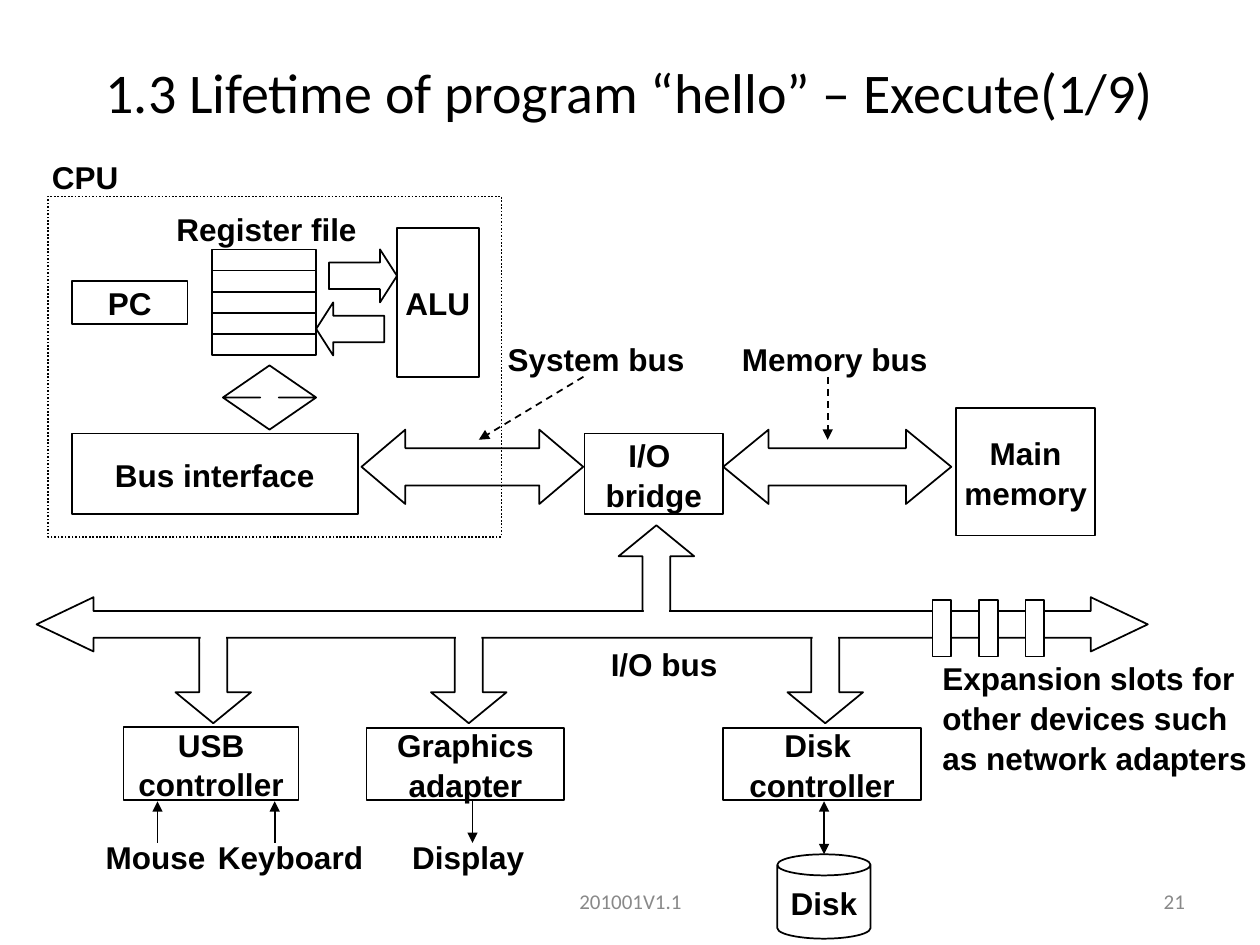
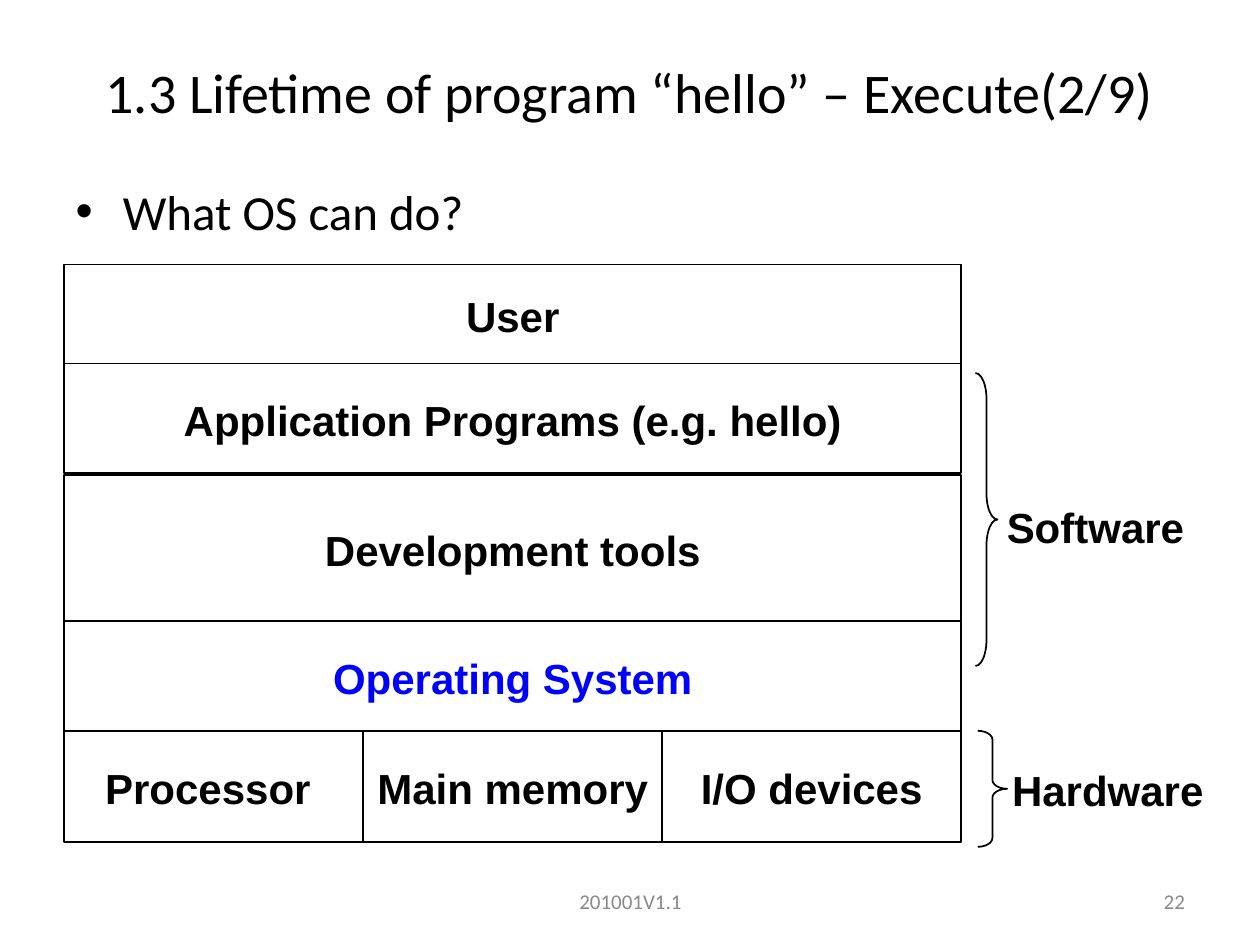
from itertools import accumulate

from lxml import etree
from pptx import Presentation
from pptx.dml.color import RGBColor
from pptx.enum import dml, shapes, text
from pptx.oxml import ns
from pptx.util import Pt

BLACK = RGBColor(0x00, 0x00, 0x00)
WHITE = RGBColor(0xFF, 0xFF, 0xFF)
BLUE = RGBColor(0x00, 0x00, 0xFF)
GREY = RGBColor(0x89, 0x89, 0x89)

KIND = shapes.MSO_SHAPE
ALIGN = text.PP_ALIGN
MIDDLE = text.MSO_ANCHOR.MIDDLE
DASH = dml.MSO_LINE.DASH
DOTS = dml.MSO_LINE.ROUND_DOT

TITLE = "1.3 Lifetime of program “hello” – Execute({}/9)"
FOOTER = "201001V1.1"
FIRST_NUMBER = 21

TITLE_FONT = dict(name="Calibri", size=Pt(32))
BODY_FONT = dict(name="Calibri", size=Pt(28))
FOOTER_FONT = dict(name="Calibri", size=Pt(12))
DIAGRAM_FONT = dict(name="Arial", size=Pt(18), bold=True)
STACK_FONT = dict(name="Arial", size=Pt(24), bold=True)
DIAGRAM_PARA = dict(alignment=ALIGN.CENTER, line_spacing=1.05)

# Hardware diagram: all places are (left, top, width, height) in points
UNITS = [
    ("Main\nmemory", (546.5, 233.3, 79.2, 72.7)),
    ("I/O \nbridge", (334, 247.7, 79.2, 46)),
    ("Bus interface", (41, 247.7, 163.5, 46)),
    ("ALU", (226.8, 130.3, 46.8, 85)),
    ("PC", (41, 160.6, 66.2, 24.5)),
    ("USB\ncontroller", (70.6, 415.4, 100, 41.8)),
    ("Graphics\nadapter", (209.5, 416.2, 113, 41)),
    ("Disk \ncontroller", (413.3, 416.2, 113, 41)),
]
CPU_FRAME = (27.4, 112.3, 259.2, 194.4)
REGISTERS, REGISTER_BOX = 5, (121, 142.5, 59.8, 12.1)
BLOCK_ARROWS = [
    (KIND.LEFT_RIGHT_ARROW, (413.3, 245.5, 130.3, 42.5), (0.5, 0.61)),
    (KIND.LEFT_RIGHT_ARROW, (206.6, 245.5, 126.7, 42.5), (0.5, 0.59)),
    (KIND.RIGHT_ARROW, (188, 142.5, 38.9, 30.3), (0.5, 0.32)),
    (KIND.LEFT_ARROW, (180.7, 172.8, 38.9, 30.3), (0.5, 0.32)),
    (KIND.UP_DOWN_ARROW, (127.4, 208.8, 53.3, 36.7), (0.5, 0.2)),
]
IO_BUS = (20.9, 341.3, 635, 31)
# Branches of the I/O bus: kind, centre, top, top of the patch that opens the bus
BRANCHES = [
    (KIND.UP_ARROW, 375.1, 300.2, 348.5),
    (KIND.DOWN_ARROW, 121.9, 358.6, 355),
    (KIND.DOWN_ARROW, 267.9, 358.6, 354.2),
    (KIND.DOWN_ARROW, 471.6, 358.6, 353.5),
]
BRANCH_SIZE, BRANCH_ADJ, PATCH_SIZE = (43.2, 54.7), (0.37, 0.41), (14.4, 12.2)
SLOTS, SLOT_BOX, SLOT_STEP = 3, (532.8, 342.7, 10.8, 32.4), 26.6
DISK = (444.2, 488.2, 53.3, 48.2)
LABEL_WIDTH, LABEL_HEIGHT = 120, 28.8
LABELS = [  # text, centre, top
    ("Register file", 152.3, 116),
    ("CPU", 48.6, 86.4),
    ("System bus", 340.6, 190),
    ("Memory bus", 477, 190),
    ("I/O bus", 379.5, 364.3),
    ("Mouse", 88.9, 474.5),
    ("Keyboard", 166, 474.5),
    ("Display", 267.5, 474.5),
]
SLOT_NOTE = "Expansion slots for\nother devices such\nas network adapters"
SLOT_NOTE_BOX = (531.4, 373.7, 188.6, 72)
POINTERS = [  # start, end, dash, arrowheads
    ((333.4, 215.3), (273.6, 251.3), DASH, ["tailEnd"]),
    ((473, 215.3), (473, 251.3), DASH, ["tailEnd"]),
    ((90, 457.9), (90, 481.7), None, ["headEnd"]),
    ((157, 457.9), (157, 481.7), None, ["headEnd"]),
    ((270, 457.9), (270, 481.7), None, ["tailEnd"]),
    ((470.9, 457.9), (470.9, 488.2), None, ["headEnd", "tailEnd"]),
]

# Layer stack: label, height, gap above, colour
QUESTION = "What OS can do?"
STACK_LEFT, STACK_TOP, STACK_WIDTH = 36.7, 151.2, 512.6
LAYERS = [
    (["User"], 56.5, 0, BLACK),
    (["Application Programs (e.g. hello)"], 62.5, 0, BLACK),
    (["Development tools"], 83.5, 1.4, BLACK),
    (["Operating System"], 62.5, 0, BLUE),
    (["Processor ", "Main memory", "I/O devices"], 63.4, 0, BLACK),
]
BRACES = [  # label, brace, corner, label box
    ("Software", (557.4, 213.2, 12.6, 167.4), 1.18, (568, 282.2, 116, 36)),
    ("Hardware", (558.7, 417.6, 16.8, 66.3), 0.3, (571, 432.7, 124, 36)),
]


def apply(obj, values):
    for name, value in values.items():
        setattr(obj, name, value)


def points(values):
    return [Pt(v) for v in values]


def write(sp, content, font, color=BLACK, para=DIAGRAM_PARA, **frame):
    tf = sp.text_frame
    apply(tf, dict(word_wrap=False, vertical_anchor=MIDDLE,
                   auto_size=text.MSO_AUTO_SIZE.NONE) | frame)
    tf.text = content
    for p in tf.paragraphs:
        apply(p, para)
        for r in p.runs:
            apply(r.font, font)
            r.font.color.rgb = color


def add_shape(s, kind, box, adj=(), fill=None, line=BLACK, dash=None):
    sp = s.shapes.add_shape(kind, *points(box))
    sp.shadow.inherit = False
    for i, value in enumerate(adj):
        sp.adjustments[i] = value
    if fill is None:
        sp.fill.background()
    else:
        sp.fill.solid()
        sp.fill.fore_color.rgb = fill
    if line is None:
        sp.line.fill.background()
    else:
        sp.line.color.rgb = line
        apply(sp.line, dict(width=Pt(1), dash_style=dash))
    return sp


def add_label(s, content, box, font, color=BLACK, **options):
    write(s.shapes.add_textbox(*points(box)), content, font, color, **options)


def add_pointer(s, start, end, dash, heads):
    cn = s.shapes.add_connector(shapes.MSO_CONNECTOR.STRAIGHT, *points(start + end))
    cn.line.color.rgb = BLACK
    apply(cn.line, dict(width=Pt(1), dash_style=dash))
    ln = cn.line._get_or_add_ln()
    for head in heads:
        etree.SubElement(ln, ns.qn(f"a:{head}"), type="triangle")
    etree.SubElement(cn._element.spPr, ns.qn("a:effectLst"))


def place(sp, box):
    apply(sp, dict(zip(("left", "top", "width", "height"), points(box))))


def add_slide(prs, layout):
    """Add a slide with the shared title, footer and slide number."""
    s = prs.slides.add_slide(prs.slide_layouts[layout])
    n = len(prs.slides)
    place(s.shapes.title, (0, 21.6, 720, 61.2))
    write(s.shapes.title, TITLE.format(n), TITLE_FONT,
          para=dict(alignment=ALIGN.CENTER), word_wrap=True)
    for content, box, align in [
        (FOOTER, (246.2, 500.4, 228.2, 28.8), ALIGN.CENTER),
        (str(FIRST_NUMBER + n - 1), (516.2, 500.4, 168, 28.8), ALIGN.RIGHT),
    ]:
        add_label(s, content, box, FOOTER_FONT, GREY,
                  para=dict(alignment=align), word_wrap=True)
    return s


def build_hardware(prs):
    s = add_slide(prs, 5)
    for label, box in UNITS:
        write(add_shape(s, KIND.RECTANGLE, box), label, DIAGRAM_FONT)
    x, y, w, h = REGISTER_BOX
    for i in range(REGISTERS):
        add_shape(s, KIND.RECTANGLE, (x, y + i * h, w, h))
    for kind, box, adj in BLOCK_ARROWS:
        add_shape(s, kind, box, adj)
    add_shape(s, KIND.RECTANGLE, CPU_FRAME, dash=DOTS)

    for kind, centre, top, _ in BRANCHES:
        add_shape(s, kind, (centre - BRANCH_SIZE[0] / 2, top, *BRANCH_SIZE), BRANCH_ADJ)
    add_shape(s, KIND.LEFT_RIGHT_ARROW, IO_BUS, (0.49, 1.05), WHITE)
    for _, centre, _, top in BRANCHES:
        add_shape(s, KIND.RECTANGLE, (centre - PATCH_SIZE[0] / 2, top, *PATCH_SIZE),
                  fill=WHITE, line=None)
    x, y, w, h = SLOT_BOX
    for i in range(SLOTS):
        add_shape(s, KIND.RECTANGLE, (x + i * SLOT_STEP, y, w, h), fill=WHITE)

    write(add_shape(s, KIND.CAN, DISK, (0.25,)), "Disk", DIAGRAM_FONT)
    for label, centre, top in LABELS:
        box = (centre - LABEL_WIDTH / 2, top, LABEL_WIDTH, LABEL_HEIGHT)
        add_label(s, label, box, DIAGRAM_FONT)
    add_label(s, SLOT_NOTE, SLOT_NOTE_BOX, DIAGRAM_FONT,
              para=DIAGRAM_PARA | dict(alignment=ALIGN.LEFT))
    for pointer in POINTERS:
        add_pointer(s, *pointer)


def build_layers(prs):
    s = add_slide(prs, 1)
    body = s.placeholders[1]
    place(body, (36, 100, 648, 382.3))
    write(body, QUESTION, BODY_FONT, para=dict(space_before=Pt(7)),
          word_wrap=True, vertical_anchor=text.MSO_ANCHOR.TOP)

    bottoms = accumulate((h + gap for _, h, gap, _ in LAYERS), initial=STACK_TOP)
    for (cells, height, gap, color), top in zip(LAYERS, bottoms):
        width = STACK_WIDTH / len(cells)
        for i, label in enumerate(cells):
            box = (STACK_LEFT + i * width, top + gap, width, height)
            write(add_shape(s, KIND.RECTANGLE, box), label, STACK_FONT, color)
    for label, brace, corner, box in BRACES:
        add_shape(s, KIND.RIGHT_BRACE, brace, (corner, 0.5))
        add_label(s, label, box, STACK_FONT)


def main():
    prs = Presentation()
    apply(prs, dict(slide_width=Pt(720), slide_height=Pt(540)))
    build_hardware(prs)
    build_layers(prs)
    prs.save("out.pptx")


if __name__ == "__main__":
    main()
